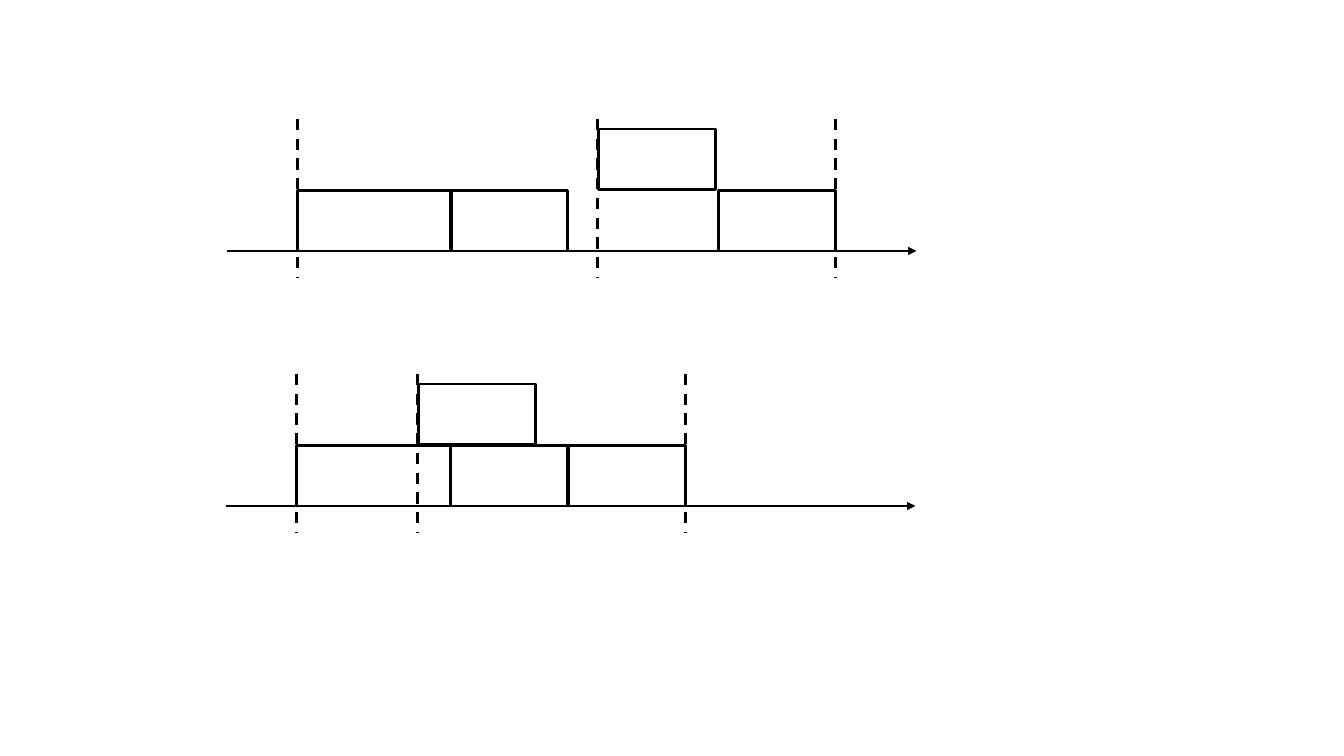
from lxml import etree
from pptx import Presentation
from pptx.dml.color import RGBColor
from pptx.enum.dml import MSO_LINE
from pptx.enum.shapes import MSO_CONNECTOR, MSO_SHAPE
from pptx.oxml.ns import qn
from pptx.util import Inches, Pt

BLACK = RGBColor(0x00, 0x00, 0x00)
RECT = MSO_SHAPE.RECTANGLE
STRAIGHT = MSO_CONNECTOR.STRAIGHT
DASH = MSO_LINE.DASH

AXIS_LENGTH = 6.84
MARKER_HEIGHT = 1.57
AXIS_DROP = 1.31
BAR_HEIGHT = 0.6
LEVEL_STEP = 0.61
LONG, SHORT = 1.53, 1.16


def style_line(sp):
    """Give a shape or connector the common black outline."""
    sp.line.color.rgb = BLACK
    sp.line.width = Pt(2)


def add_line(shapes, x1, y1, x2, y2, dashed=False, arrow=False):
    """Draw a straight line, optionally dashed or ending in an arrowhead."""
    sp = shapes.add_connector(STRAIGHT, Inches(x1), Inches(y1), Inches(x2), Inches(y2))
    style_line(sp)
    if dashed:
        sp.line.dash_style = DASH
    if arrow:
        etree.SubElement(sp.line._get_or_add_ln(), qn("a:tailEnd"), type="triangle")
    etree.SubElement(sp._element.spPr, qn("a:effectLst"))


def add_bar(shapes, left, top, width):
    """Draw one unfilled task bar."""
    sp = shapes.add_shape(RECT, Inches(left), Inches(top), Inches(width), Inches(BAR_HEIGHT))
    sp.shadow.inherit = False
    sp.fill.background()
    style_line(sp)


def add_timeline(slide, left, top, bars, markers):
    """Draw a time axis with bars (offset, width, level) and dashed markers."""
    shapes = slide.shapes.add_group_shape().shapes
    axis_y = top + AXIS_DROP
    add_line(shapes, left, axis_y, left + AXIS_LENGTH, axis_y, arrow=True)
    for offset in markers:
        x = left + offset
        add_line(shapes, x, top, x, top + MARKER_HEIGHT, dashed=True)
    for offset, width, level in bars:
        add_bar(shapes, left + offset, axis_y - BAR_HEIGHT - level * LEVEL_STEP, width)


def main():
    """Build the slide with its two timelines."""
    prs = Presentation()
    prs.slide_width, prs.slide_height = Inches(13.33), Inches(7.5)
    s = prs.slides.add_slide(prs.slide_layouts[6])
    add_timeline(
        s, 2.25, 1.18,
        bars=[(0.7, LONG, 0), (2.22, SHORT, 0), (3.69, SHORT, 1), (4.88, SHORT, 0)],
        markers=[0.7, 3.68, 6.04],
    )
    add_timeline(
        s, 2.24, 3.71,
        bars=[(0.7, LONG, 0), (2.23, SHORT, 0), (1.91, SHORT, 1), (3.4, SHORT, 0)],
        markers=[0.7, 1.9, 4.56],
    )
    prs.save("out.pptx")


if __name__ == "__main__":
    main()
